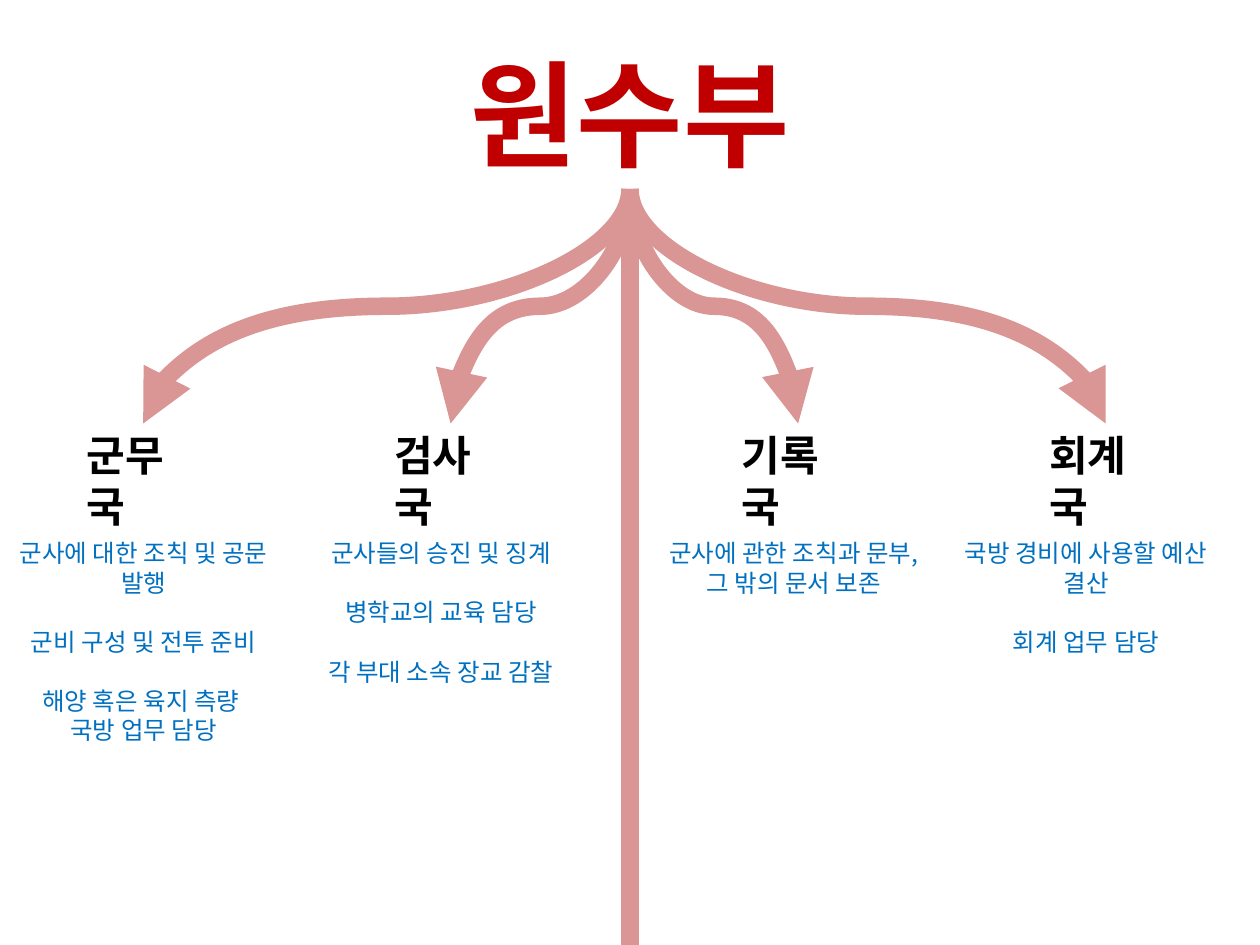
from lxml import etree
from pptx import Presentation, util as u
from pptx.dml.color import RGBColor
from pptx.enum import shapes, text
from pptx.oxml.ns import qn

Pt = u.Pt
FONT = "Noto Sans CJK KR"
BUREAUS = [
    ("군무국", 81.8, 82.1, 126,
     [("군사에 대한 조칙 및 공문 발행", 0), ("군비 구성 및 전투 준비", 17),
      ("해양 혹은 육지 측량 ", 17), ("국방 업무 담당", 0)]),
    ("검사국", 257.5, 252, 92.2,
     [("군사들의 승진 및 징계", 0), ("병학교의 교육 담당", 17),
      ("각 부대 소속 장교 감찰", 17)]),
    ("기록국", 456.1, 453.6, 41,
     [("군사에 관한 조칙과 문부,", 0), ("그 밖의 문서 보존", 0)]),
    ("회계국", 631.8, 620.6, 74.9,
     [("국방 경비에 사용할 예산 결산", 0), ("회계 업무 담당", 17)]),
]


def color(value):
    return RGBColor.from_string(value)


def add_text(p, content, size, fill, bold=False, align=text.PP_ALIGN.CENTER, before=0):
    p.alignment = align
    if before:
        p.space_before = Pt(before)
    r = p.add_run()
    r.text = content
    r.font.size = Pt(size)
    r.font.bold = bold
    r.font.name = FONT
    r.font.color.rgb = color(fill)
    etree.SubElement(r.font._element, qn("a:ea"), typeface=FONT)


class Chart:
    """Draw the organisation chart's elements on the current slide in one style."""

    title_color, head_color, body_color = "C00000", "000000", "0070C0"
    arrow_color, arrow_width = "D99694", 10

    def __init__(self, slide):
        self.s = slide

    def box(self, x, y, w, h, wrap=True):
        tf = self.s.shapes.add_textbox(Pt(x), Pt(y), Pt(w), Pt(h)).text_frame
        tf.word_wrap = wrap
        return tf

    def title(self, content, cx, y, w, h):
        tf = self.box(cx - w / 2, y, w, h, wrap=False)
        add_text(tf.paragraphs[0], content, 66, self.title_color, bold=True)

    def heading(self, content, cx, y, w=78.5, h=36):
        tf = self.box(cx - w / 2, y, w, h)
        add_text(tf.paragraphs[0], content, 24, self.head_color, bold=True,
                 align=text.PP_ALIGN.LEFT)

    def duties(self, lines, cx, y, h, w=181.4):
        tf = self.box(cx - w / 2, y, w, h)
        for i, (line, before) in enumerate(lines):
            p = tf.add_paragraph() if i else tf.paragraphs[0]
            add_text(p, line, 14, self.body_color, before=before)

    def arrow(self, kind, x1, y1, x2, y2):
        sp = self.s.shapes.add_connector(kind, Pt(x1), Pt(y1), Pt(x2), Pt(y2))
        sp.line.color.rgb = color(self.arrow_color)
        sp.line.width = Pt(self.arrow_width)
        etree.SubElement(sp.line._get_or_add_ln(), qn("a:tailEnd"), type="triangle")
        etree.SubElement(sp._element.spPr, qn("a:effectLst"))
        return sp

    def straight(self, x1, y1, x2, y2):
        self.arrow(shapes.MSO_CONNECTOR.STRAIGHT, x1, y1, x2, y2)

    def curve_down(self, x1, y1, x2, y2):
        cx, cy = (x1 + x2) / 2, (y1 + y2) / 2
        side = 1 if x2 > x1 else -1
        dx, dy = side * (y2 - y1) / 2, abs(x2 - x1) / 2
        sp = self.arrow(shapes.MSO_CONNECTOR.CURVE, cx + dx, cy - dy, cx - dx, cy + dy)
        angle = 270 if side > 0 else 90
        sp._element.spPr.find(qn("a:xfrm")).set("rot", str(angle * 60000))


def main():
    prs = Presentation()
    prs.slide_width, prs.slide_height = Pt(720), Pt(540)
    chart = Chart(prs.slides.add_slide(prs.slide_layouts[6]))
    center, stem_top, head_top, body_top = 360, 108, 242, 304

    chart.title("원수부", center, 20.9, 214.6, 87.1)
    chart.straight(center, 113.8, center, 587.5)
    for name, head_x, body_x, body_h, lines in BUREAUS:
        chart.heading(name, head_x, head_top)
        chart.curve_down(center, stem_top, head_x, head_top)
        chart.duties(lines, body_x, body_top, body_h)
    prs.save("out.pptx")


if __name__ == "__main__":
    main()
